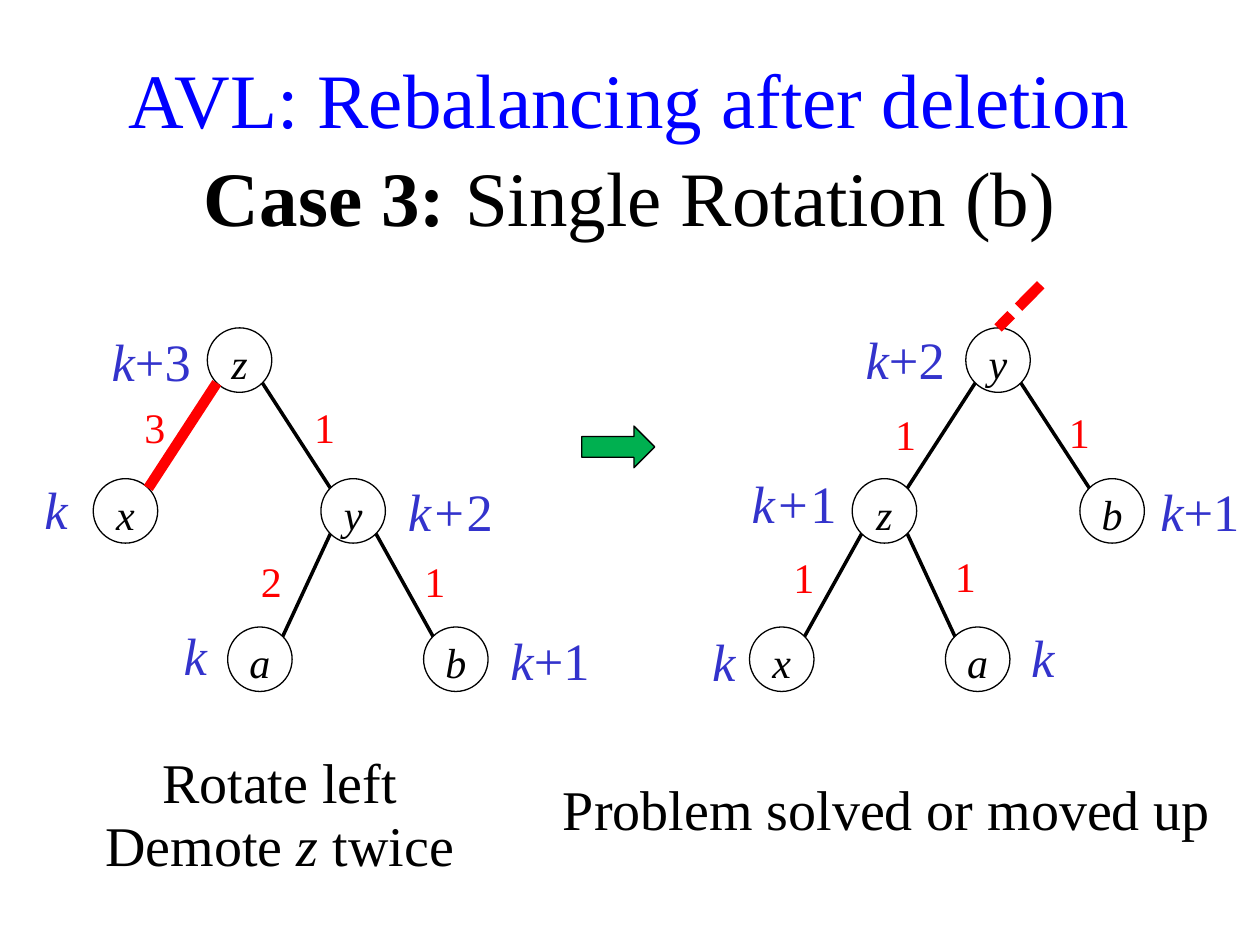
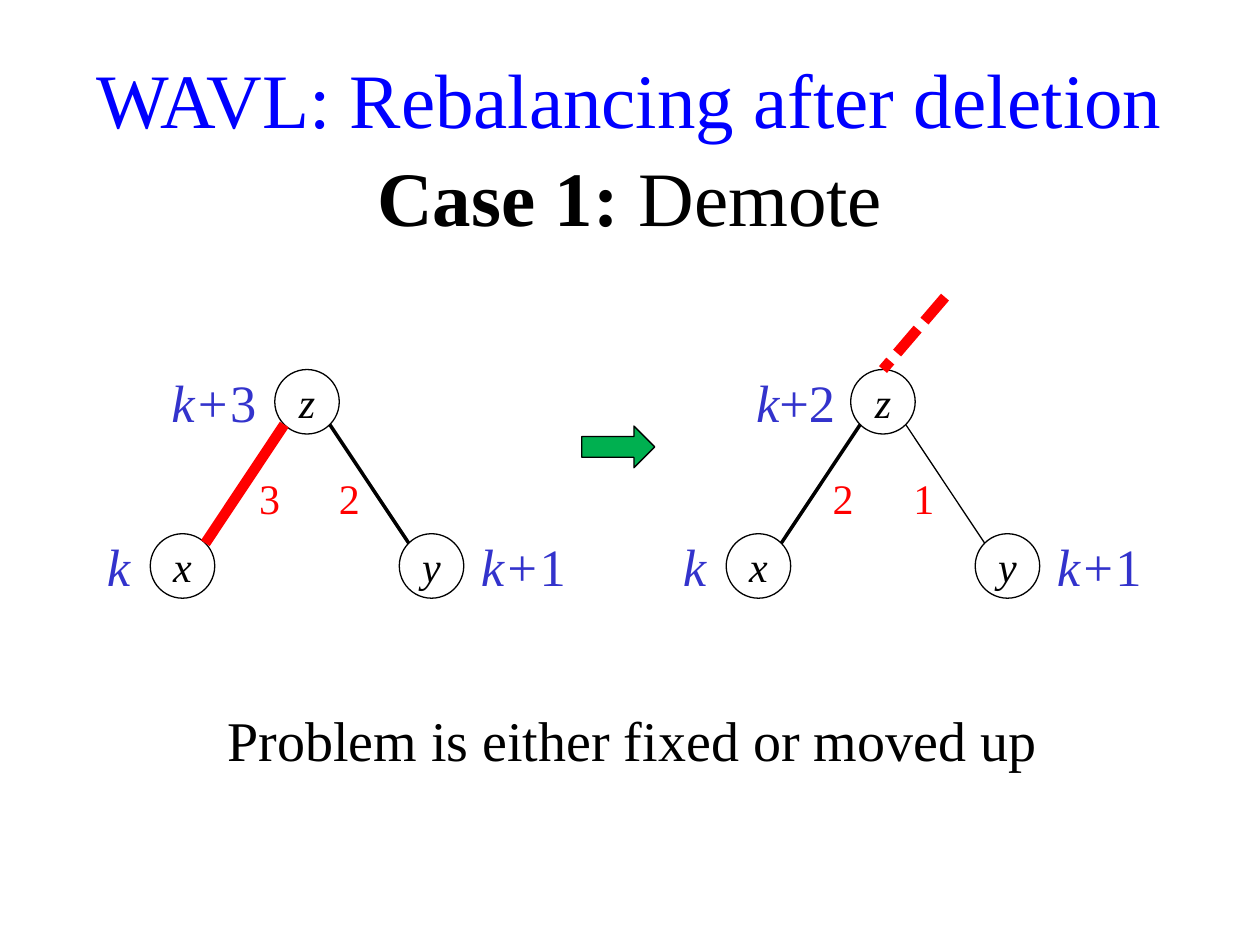
from dataclasses import dataclass
from math import sqrt

from lxml.etree import SubElement
from pptx import Presentation
from pptx.dml.color import RGBColor
from pptx.enum.dml import MSO_LINE
from pptx.enum.shapes import MSO_CONNECTOR, MSO_SHAPE
from pptx.enum.text import MSO_ANCHOR, PP_ALIGN
from pptx.oxml.ns import qn
from pptx.util import Cm, Pt


@dataclass(frozen=True)
class Theme:
    font: str = "Times New Roman"
    black: RGBColor = RGBColor(0, 0, 0)
    title: RGBColor = RGBColor(0, 0, 255)
    rank: RGBColor = RGBColor(0x33, 0x33, 0xCC)
    red: RGBColor = RGBColor(255, 0, 0)
    green: RGBColor = RGBColor(0, 0xB0, 0x50)
    title_size: int = 44
    caption_size: int = 32
    rank_size: int = 30
    node_size: int = 24
    outline: float = 0.75
    edge: float = 2
    heavy: float = 6


def apply(obj, values):
    for name, value in values.items():
        setattr(obj, name, value)


class Deck:
    diameter = 1.3

    def __init__(self, prs, theme):
        self.prs, self.theme = prs, theme
        self.s = None

    def text(self, shape, text, size, color, emphasis="italic", anchor=MSO_ANCHOR.TOP):
        tf = shape.text_frame
        apply(tf, dict(word_wrap=True, vertical_anchor=anchor, margin_left=0,
                       margin_right=0, margin_top=0, margin_bottom=0))
        p = tf.paragraphs[0]
        p.alignment = PP_ALIGN.CENTER
        for i, part in enumerate(text.split("*")):
            if part:
                r = p.add_run()
                r.text = part
                apply(r.font, {"name": self.theme.font, "size": Pt(size),
                               emphasis: i % 2 == 1})
                r.font.color.rgb = color

    def box(self, text, cx, y, width, size, color, emphasis="italic"):
        tb = self.s.shapes.add_textbox(Cm(cx - width / 2), Cm(y), Cm(width), Pt(size * 1.2))
        self.text(tb, text, size, color, emphasis)

    def label(self, text, cx, cy, size, color):
        self.box(text, cx, cy - Pt(size * 0.6).cm, 2.2, size, color)

    def caption(self, text, cx, y, width):
        self.box(text, cx, y, width, self.theme.caption_size, self.theme.black)

    def shape(self, kind, x, y, width, height, fill=None):
        sp = self.s.shapes.add_shape(kind, Cm(x), Cm(y), Cm(width), Cm(height))
        sp.shadow.inherit = False
        if fill is None:
            sp.fill.background()
        else:
            sp.fill.solid()
            sp.fill.fore_color.rgb = fill
        sp.line.color.rgb = self.theme.black
        sp.line.width = Pt(self.theme.outline)
        return sp

    def node(self, name, x, y, anchor):
        d = self.diameter
        sp = self.shape(MSO_SHAPE.OVAL, x - d / 2, y - d / 2, d, d)
        self.text(sp, f"*{name}*", self.theme.node_size, self.theme.black, anchor=anchor)
        return sp

    def line(self, start, end, color, width, dash=None):
        c = self.s.shapes.add_connector(MSO_CONNECTOR.STRAIGHT, *map(Cm, start + end))
        c.line.color.rgb = color
        apply(c.line, dict(width=Pt(width), dash_style=dash))
        SubElement(c._element.spPr, qn("a:effectLst"))
        return c

    def edge(self, parent, child, width):
        reach = self.diameter / 2 / sqrt(2)
        (px, py), (cx, cy) = parent, child
        side = reach if cx > px else -reach
        color = self.theme.red if width == self.theme.heavy else self.theme.black
        self.line((px + side, py + reach), (cx - side, cy - reach), color, width)

    def tree(self, places, ranks, edges, anchor):
        t = self.theme
        nodes = {n: self.node(n, *at, anchor) for n, at in places.items()}
        for name, (text, dx, dy) in ranks.items():
            x, y = places[name]
            self.label(text, x + dx, y + dy, t.rank_size, t.rank)
        for (parent, child), (text, dx, dy, width) in edges.items():
            a, b = places[parent], places[child]
            self.edge(a, b, width)
            self.label(text, (a[0] + b[0]) / 2 + dx, (a[1] + b[1]) / 2 + dy,
                       t.node_size, t.red)
        return nodes

    def moved_up(self, start, root):
        c = self.line(start, start, self.theme.red, self.theme.heavy, MSO_LINE.SQUARE_DOT)
        c.end_connect(root, 0)

    def slide(self, title, case):
        t = self.theme
        self.s = self.prs.slides.add_slide(self.prs.slide_layouts[6])
        self.box(title, 12.7, 1.04, 25.4, t.title_size, t.title)
        self.box(case, 12.7, 3.02, 25.4, t.title_size, t.black, "bold")
        self.shape(MSO_SHAPE.RIGHT_ARROW, 11.73, 8.59, 1.47, 0.84, t.green)


def single_rotation(deck):
    t = deck.theme
    deck.slide("AVL: Rebalancing after deletion", "*Case 3:* Single Rotation (b)")
    slots = [(4.83, 7.26), (2.53, 10.3), (7.12, 10.3), (5.24, 13.29), (9.19, 13.29)]
    mirrored = [(24.95 - x, y) for x, y in slots]
    deck.tree(
        dict(zip("zxyab", slots)),
        {"z": ("*k*+3", -1.78, 0), "x": ("*k*", -1.4, -0.05), "y": ("*k+*2", 1.96, 0),
         "a": ("*k*", -1.3, -0.1), "b": ("*k*+1", 1.9, 0)},
        {"zx": ("3", -0.56, -0.17, t.heavy), "zy": ("1", 0.57, -0.17, t.edge),
         "ya": ("2", -0.71, -0.08, t.edge), "yb": ("1", 0.61, -0.08, t.edge)},
        MSO_ANCHOR.TOP)
    nodes = deck.tree(
        dict(zip("ybzax", mirrored)),
        {"y": ("*k*+2", -1.87, -0.04), "b": ("*k*+1", 1.77, 0), "z": ("*k+*1", -1.82, -0.16),
         "a": ("*k*", 1.31, -0.05), "x": ("*k*", -1.17, 0.02)},
        {"yz": ("1", -0.72, -0.04, t.edge), "yb": ("1", 0.49, -0.07, t.edge),
         "zx": ("1", -0.59, -0.16, t.edge), "za": ("1", 0.69, -0.18, t.edge)},
        MSO_ANCHOR.TOP)
    deck.moved_up((20.98, 5.74), nodes["y"])
    deck.caption("Rotate left", 5.64, 15.06, 11)
    deck.caption("Demote *z *twice", 5.64, 16.33, 11)
    deck.caption("Problem solved or moved up", 17.88, 15.62, 15)


def demote(deck):
    t = deck.theme
    deck.slide("WAVL: Rebalancing after deletion", "*Case 1:* Demote")
    before = {"z": (6.19, 8.1), "x": (3.68, 11.41), "y": (8.7, 11.41)}
    after = {n: (x + 11.61, y) for n, (x, y) in before.items()}
    leaves = {"x": ("*k*", -1.29, 0), "y": ("*k+*1", 1.85, 0)}
    deck.tree(before, {"z": ("*k+*3", -1.88, 0), **leaves},
              {"zx": ("3", 0.5, 0.28, t.heavy), "zy": ("2", -0.4, 0.28, t.edge)},
              MSO_ANCHOR.MIDDLE)
    nodes = deck.tree(after, {"z": ("*k*+2", -1.76, 0), **leaves},
                      {"zx": ("2", 0.45, 0.28, t.edge), "zy": ("1", -0.43, 0.28, t.outline)},
                      MSO_ANCHOR.MIDDLE)
    deck.moved_up((19.05, 5.99), nodes["z"])
    deck.caption("Problem is either fixed or moved up", 12.75, 14.22, 20)


def main():
    prs = Presentation()
    apply(prs, dict(slide_width=Cm(25.4), slide_height=Cm(19.05)))
    deck = Deck(prs, Theme())
    single_rotation(deck)
    demote(deck)
    prs.save("out.pptx")


if __name__ == "__main__":
    main()
